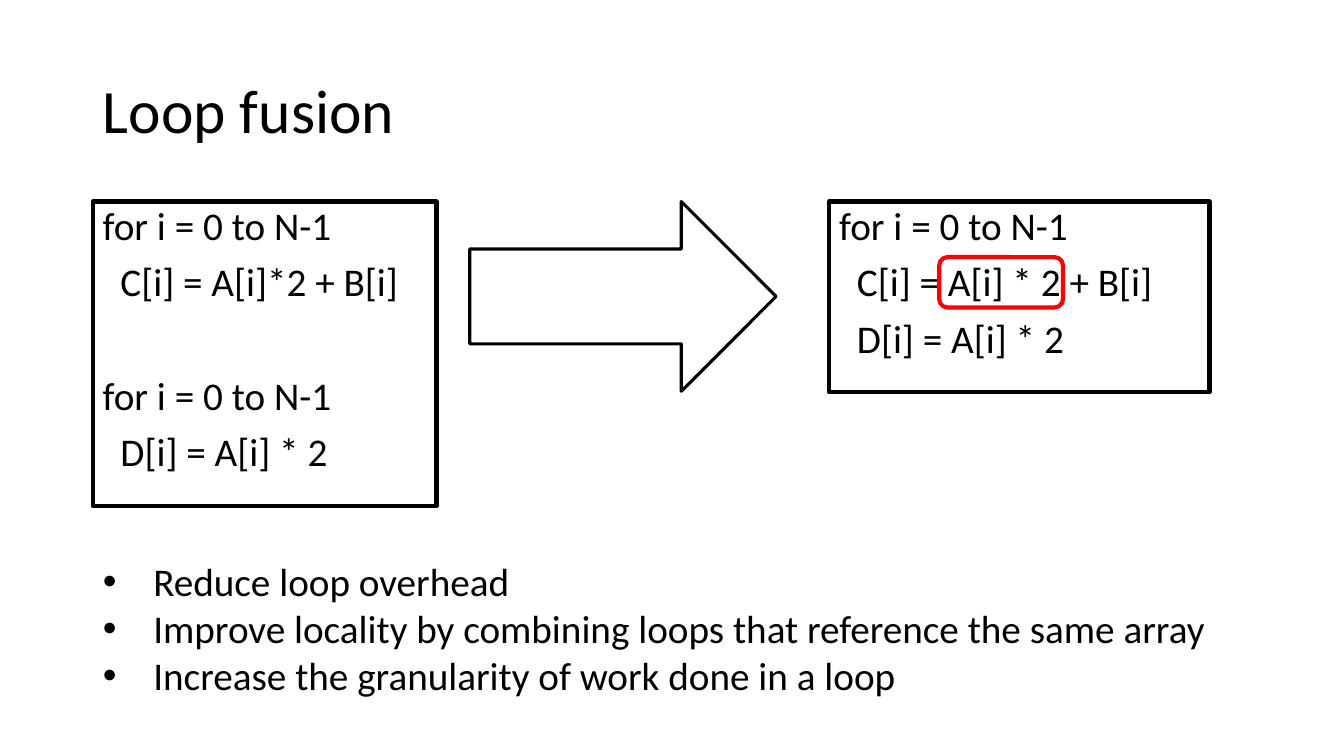
from lxml import etree
from pptx import Presentation
from pptx import util as u
from pptx.dml.color import RGBColor
from pptx.enum import shapes, text
from pptx.oxml import ns

SHAPE = shapes.MSO_SHAPE
BLACK, RED = "000000", "FF0000"


def rgb(value):
    return RGBColor.from_string(value)


def apply(obj, formats):
    for name, value in formats.items():
        setattr(obj, name, value)


class SlideBuilder:
    font = "Calibri"
    text_size = 28
    code_spacing = 10
    code_pitch = 40.8  # one code line with its space before, in points

    def __init__(self, s):
        self.s = s

    def place(self, sp, left, top, width, height):
        apply(sp, dict(left=u.Cm(left), top=u.Cm(top),
                       width=u.Cm(width), height=u.Cm(height)))

    def add_words(self, p, words, size, **formats):
        apply(p, dict(alignment=text.PP_ALIGN.LEFT, **formats))
        r = p.add_run()
        r.text = words
        apply(r.font, dict(name=self.font, size=u.Pt(size)))
        r.font.color.rgb = rgb(BLACK)

    def frame(self, sp, anchor):
        tf = sp.text_frame
        apply(tf, dict(word_wrap=True, vertical_anchor=anchor,
                       auto_size=text.MSO_AUTO_SIZE.NONE))
        return tf

    def paragraphs(self, tf, lines):
        for i, line in enumerate(lines):
            yield (tf.add_paragraph() if i else tf.paragraphs[0]), line

    def title(self, words, *box):
        sp = self.s.shapes.title
        self.place(sp, *box)
        tf = self.frame(sp, text.MSO_ANCHOR.MIDDLE)
        self.add_words(tf.paragraphs[0], words, 44, line_spacing=0.9)

    def bullets(self, lines, *box):
        sp = self.s.placeholders[1]
        self.place(sp, *box)
        tf = self.frame(sp, text.MSO_ANCHOR.TOP)
        for p, line in self.paragraphs(tf, lines):
            props = p._p.get_or_add_pPr()
            props.set("marL", str(u.Cm(1.27)))
            props.set("indent", str(u.Cm(-1.27)))
            etree.SubElement(props, ns.qn("a:buFont")).set("typeface", "Arial")
            etree.SubElement(props, ns.qn("a:buChar")).set("char", "•")
            self.add_words(p, line, self.text_size, space_before=u.Pt(0))

    def outline(self, kind, *box, color=BLACK, weight=3):
        sp = self.s.shapes.add_shape(kind, *map(u.Cm, box))
        sp.shadow.inherit = False
        sp.fill.background()
        sp.line.color.rgb = rgb(color)
        sp.line.width = u.Pt(weight)
        return sp

    def code(self, loops, *box):
        sp = self.outline(SHAPE.RECTANGLE, *box)
        tf = self.frame(sp, text.MSO_ANCHOR.TOP)
        lines = [(n, i, line) for n, loop in enumerate(loops)
                 for i, line in enumerate(loop)]
        for p, (n, i, line) in self.paragraphs(tf, lines):
            # Later loops start one line further down
            gap = 0 if n == i == 0 else self.code_spacing
            if n and i == 0:
                gap += self.code_pitch
            self.add_words(p, line, self.text_size, line_spacing=0.9,
                           space_before=u.Pt(gap))


def main():
    prs = Presentation()
    apply(prs, dict(slide_width=u.Cm(33.87), slide_height=u.Cm(19.05)))
    slide = SlideBuilder(prs.slides.add_slide(prs.slide_layouts[1]))
    left, code_top = 2.34, 5.08
    header = "for i = 0 to N-1"
    d_line = "  D[i] = A[i] * 2"

    slide.title("Loop fusion", left, 1.02, 29.21, 3.68)

    # Separate loops, arrow, fused loop
    slide.code([[header, "  C[i] = A[i]*2 + B[i]"], [header, d_line]],
               left, code_top, 8.66, 7.67)
    slide.outline(SHAPE.RIGHT_ARROW, 11.84, code_top, 7.72, 4.78, weight=2.25)
    slide.code([[header, "  C[i] = A[i] * 2 + B[i]", d_line]],
               20.9, code_top, 9.58, 4.8)

    # Benefits
    slide.bullets(["Reduce loop overhead",
                   "Improve locality by combining loops that reference the same array",
                   "Increase the granularity of work done in a loop"],
                  left, 13.92, 28.58, 3.84)

    # Shared expression
    slide.outline(SHAPE.ROUNDED_RECTANGLE, 23.67, 6.48, 3.12, 1.27, color=RED)

    prs.save("out.pptx")


if __name__ == "__main__":
    main()
